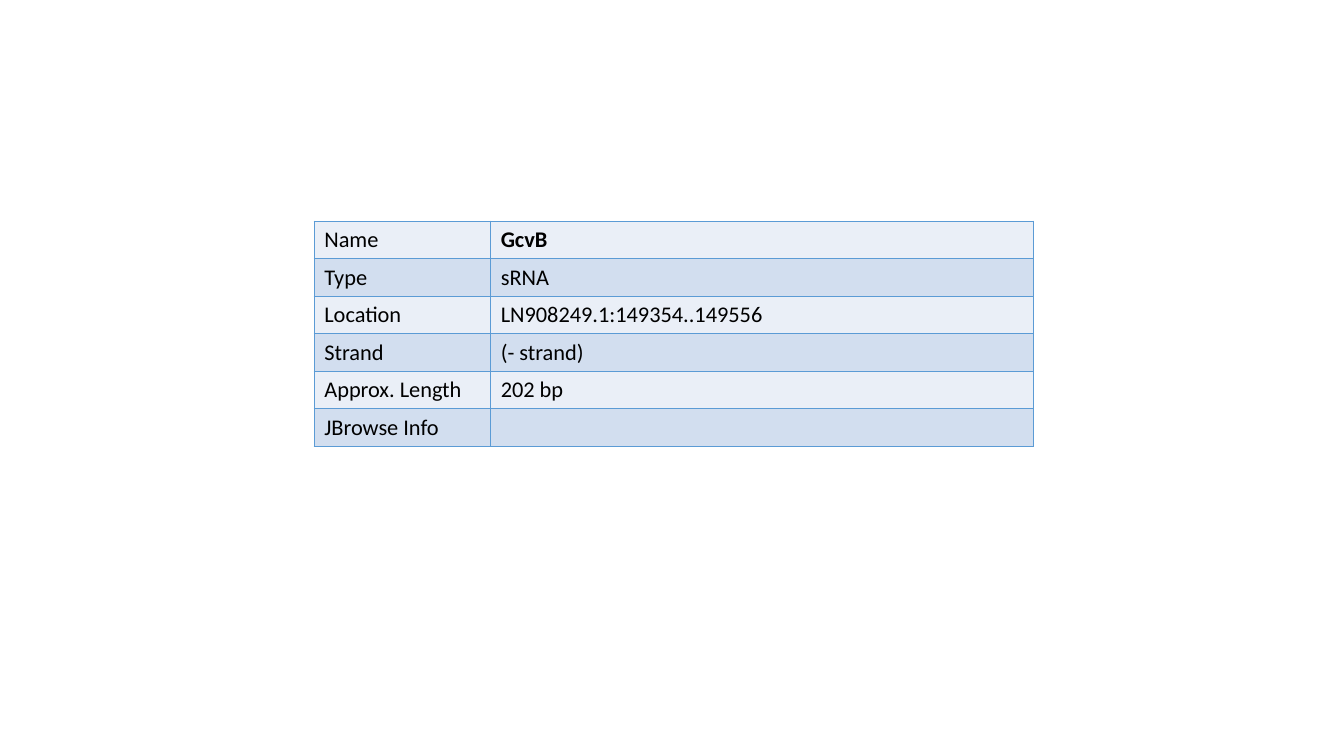
import lxml.etree
import pptx
import pptx.dml.color
import pptx.oxml.ns
import pptx.util

Pt = pptx.util.Pt
RGBColor = pptx.dml.color.RGBColor
qn = pptx.oxml.ns.qn

BLACK = RGBColor(0x00, 0x00, 0x00)
BORDER_BLUE = RGBColor(0x5B, 0x9B, 0xD5)
BAND_COLOURS = (RGBColor(0xEA, 0xEF, 0xF7), RGBColor(0xD2, 0xDE, 0xEF))

FONT_NAME = "Calibri"
FONT_SIZE = 16
LABEL_WIDTH = 126

GENE_FACTS = [
    ("Name", "GcvB"),
    ("Type", "sRNA"),
    ("Location", "LN908249.1:149354..149556"),
    ("Strand", "(- strand)"),
    ("Approx. Length", "202 bp"),
    ("JBrowse Info", ""),
]


def add_borders(cell):
    properties = cell._tc.get_or_add_tcPr()
    # Border lines must come before the fill
    for position, side in enumerate(("a:lnL", "a:lnR", "a:lnT", "a:lnB")):
        line = lxml.etree.Element(qn(side), w=str(Pt(1)))
        fill = lxml.etree.SubElement(line, qn("a:solidFill"))
        lxml.etree.SubElement(fill, qn("a:srgbClr"), val=str(BORDER_BLUE))
        properties.insert(position, line)


def write_cell(cell, text, bold, fill_colour):
    cell.fill.solid()
    cell.fill.fore_color.rgb = fill_colour
    add_borders(cell)
    paragraph = cell.text_frame.paragraphs[0]
    if text:
        run = paragraph.add_run()
        run.text = text
        run.font.name = FONT_NAME
        run.font.size = Pt(FONT_SIZE)
        run.font.bold = bold
        run.font.color.rgb = BLACK
    else:
        # An empty cell keeps the row height of the text size
        lxml.etree.SubElement(paragraph._p, qn("a:endParaRPr"), sz=str(FONT_SIZE * 100))


def add_fact_table(slide, left, top, width, height):
    shape = slide.shapes.add_table(
        len(GENE_FACTS), 2, Pt(left), Pt(top), Pt(width), Pt(height))
    table = shape.table
    table.first_row = False
    table.columns[0].width = Pt(LABEL_WIDTH)
    table.columns[1].width = Pt(width - LABEL_WIDTH)
    for row, (label, value) in enumerate(GENE_FACTS):
        fill_colour = BAND_COLOURS[row % 2]
        write_cell(table.cell(row, 0), label, False, fill_colour)
        write_cell(table.cell(row, 1), value, row == 0, fill_colour)


def main():
    presentation = pptx.Presentation()
    presentation.slide_width = Pt(960)
    presentation.slide_height = Pt(540)
    slide = presentation.slides.add_slide(presentation.slide_layouts[6])
    add_fact_table(slide, 224.5, 158, 514, 160.2)
    presentation.save("out.pptx")


if __name__ == "__main__":
    main()
